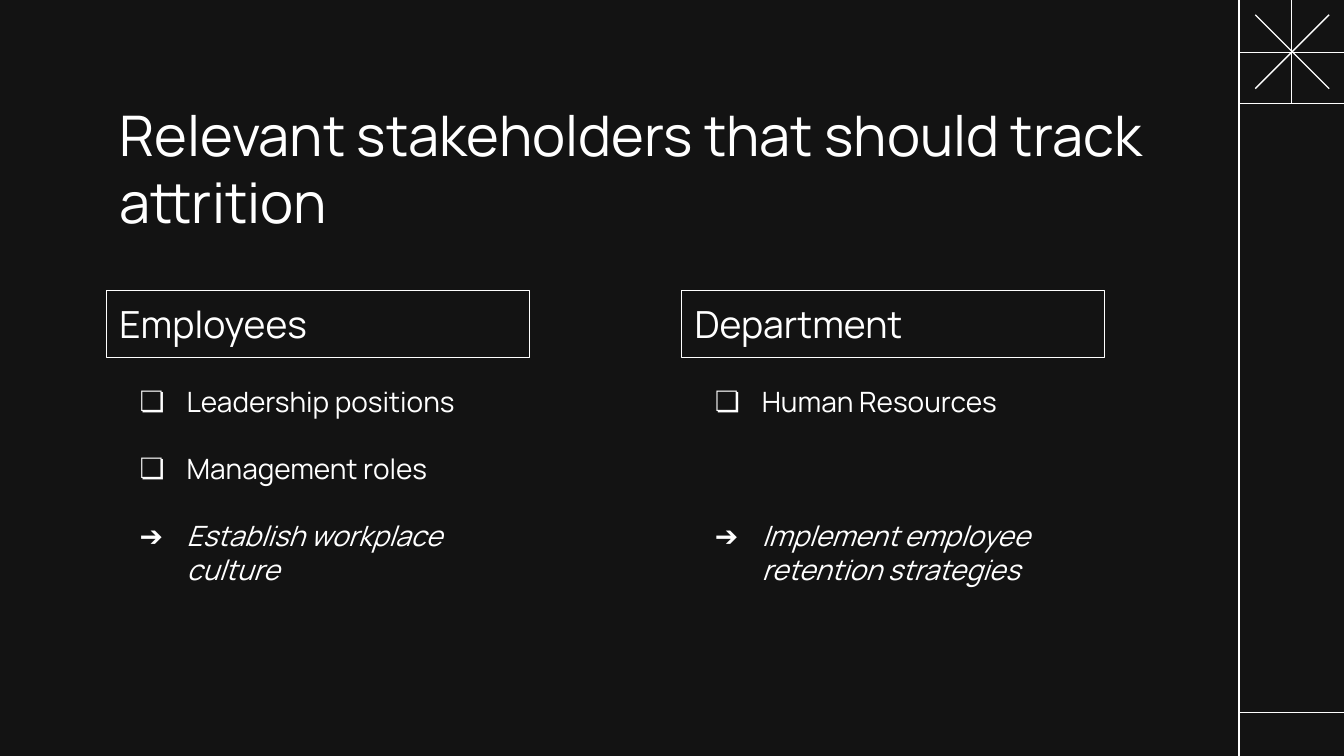
from pptx import Presentation
from pptx.dml.color import RGBColor
from pptx.enum.shapes import MSO_CONNECTOR, MSO_SHAPE
from pptx.enum.text import MSO_ANCHOR as Anchor, PP_ALIGN as Align
from pptx.oxml import parse_xml
from pptx.oxml.ns import nsdecls, qn
from pptx.util import Inches, Pt

BLACK = RGBColor(0x13, 0x13, 0x13)
WHITE = RGBColor(0xFF, 0xFF, 0xFF)
FONT = "Manrope"
WIDTH = 10
HEIGHT = WIDTH * 9 / 16
LIST_LINE = 18  # height in points of one line of list text
COLUMN_WIDTH = 3.15


def write(paragraph, text, size=15, italic=False, color=WHITE, font=FONT):
    paragraph.alignment = Align.LEFT
    run = paragraph.add_run()
    run.text = text
    run.font.name = font
    run.font.size = Pt(size)
    run.font.italic = italic
    run.font.color.rgb = color


def set_bullet(paragraph, mark, indent=0.5, hanging=0.35):
    props = paragraph._p.get_or_add_pPr()
    props.set("marL", str(Inches(indent)))
    props.set("indent", str(-Inches(hanging)))
    for part in (f'buClr {nsdecls("a")}><a:srgbClr val="{WHITE}"/></a:buClr',
                 f'buFont {nsdecls("a")} typeface="{FONT}"/',
                 f'buChar {nsdecls("a")} char="{mark}"/'):
        props.append(parse_xml(f"<a:{part}>"))


class DarkSlide:
    def __init__(self, slide, line_width=0.75, inset=0.1):
        self.slide = slide
        self.line_width = Pt(line_width)
        self.inset = Inches(inset)
        fill = slide.background.fill
        fill.solid()
        fill.fore_color.rgb = BLACK

    def _prepare(self, frame, anchor):
        frame.word_wrap = True
        frame.vertical_anchor = anchor
        frame.margin_left = frame.margin_right = self.inset
        frame.margin_top = frame.margin_bottom = self.inset
        return frame

    def _outline(self, line):
        line.color.rgb = WHITE
        line.width = self.line_width

    def line(self, x1, y1, x2, y2):
        rule = self.slide.shapes.add_connector(
            MSO_CONNECTOR.STRAIGHT, *map(Inches, (x1, y1, x2, y2)))
        self._outline(rule.line)
        rule._element.spPr.append(rule._element.makeelement(qn("a:effectLst"), {}))

    def text_area(self, *box):
        area = self.slide.shapes.add_textbox(*map(Inches, box))
        return self._prepare(area.text_frame, Anchor.TOP)

    def title(self, text, *box):
        write(self.text_area(*box).paragraphs[0], text, size=30)

    def heading(self, text, *box):
        frame = self.slide.shapes.add_shape(MSO_SHAPE.RECTANGLE, *map(Inches, box))
        frame.shadow.inherit = False
        frame.fill.background()
        self._outline(frame.line)
        label = self._prepare(frame.text_frame, Anchor.MIDDLE)
        write(label.paragraphs[0], text, size=20)

    def bullets(self, items, *box):
        """Each item is its mark, text, and gap above in list lines."""
        frame = self.text_area(*box)
        for number, (mark, text, gap) in enumerate(items):
            entry = frame.add_paragraph() if number else frame.paragraphs[0]
            entry.space_before = Pt(gap * LIST_LINE)
            write(entry, text, italic=mark == "➔")
            set_bullet(entry, mark)


def main():
    deck = Presentation()
    deck.slide_width, deck.slide_height = Inches(WIDTH), Inches(HEIGHT)
    page = DarkSlide(deck.slides.add_slide(deck.slide_layouts[6]))

    sidebar = 9.22
    page.line(sidebar, 0, sidebar, HEIGHT)
    for y in (0.39, 0.77, 5.3):
        page.line(sidebar, y, WIDTH, y)
    page.line(9.61, 0, 9.61, 0.77)
    page.line(9.89, 0.11, 9.34, 0.66)
    page.line(9.89, 0.66, 9.34, 0.11)

    page.title("Relevant stakeholders that should track attrition",
               0.79, 0.65, 8.43, 0.63)

    columns = [
        (0.79, "Employees", [("❏", "Leadership positions", 0),
                             ("❏", "Management roles", 1),
                             ("➔", "Establish workplace culture", 1)]),
        (5.07, "Department", [("❏", "Human Resources", 0),
                              ("➔", "Implement employee retention strategies", 3)]),
    ]
    for left, group, items in columns:
        page.heading(group, left, 2.16, COLUMN_WIDTH, 0.5)
        page.bullets(items, left, 2.76, COLUMN_WIDTH, 1)

    deck.save("out.pptx")


if __name__ == "__main__":
    main()
